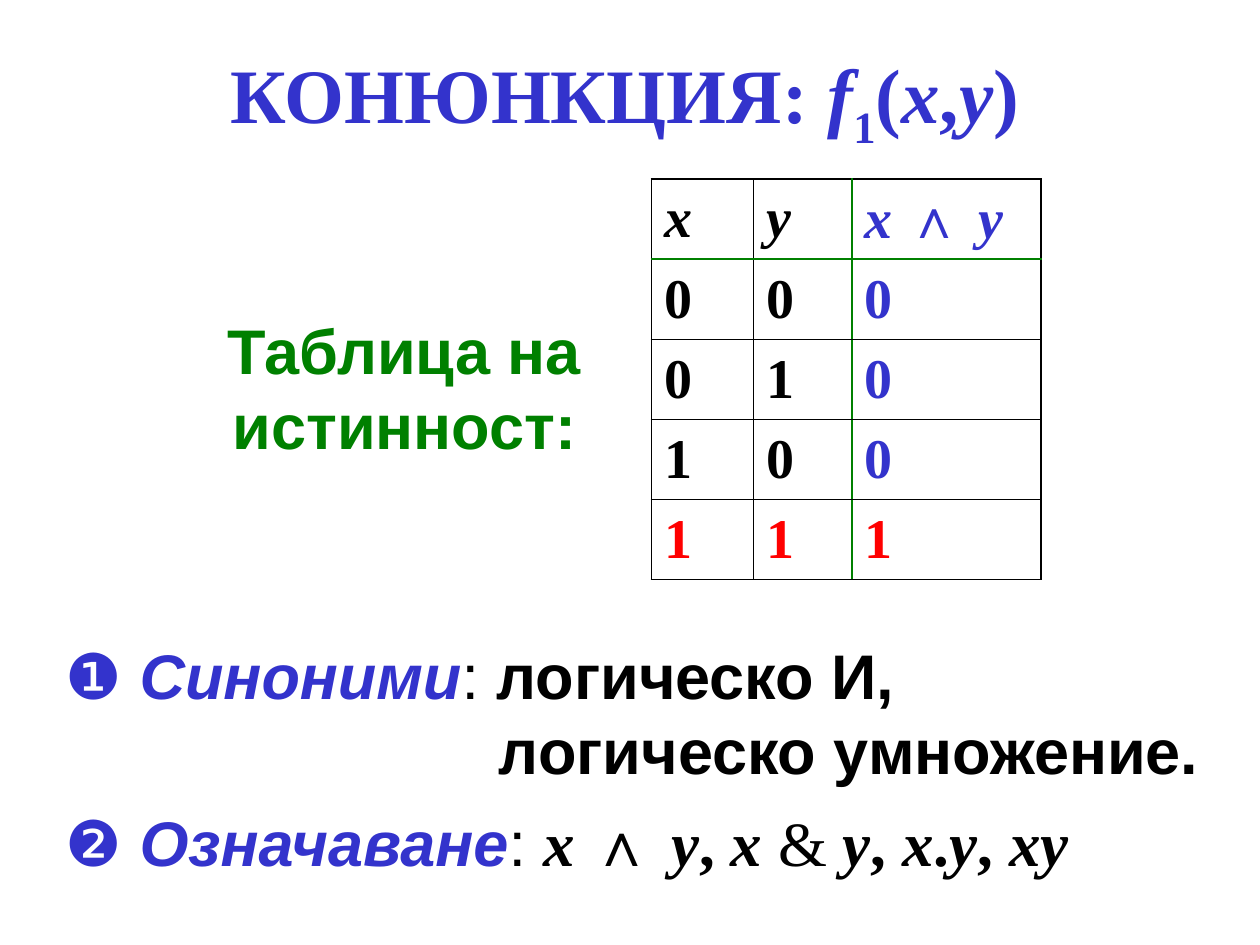
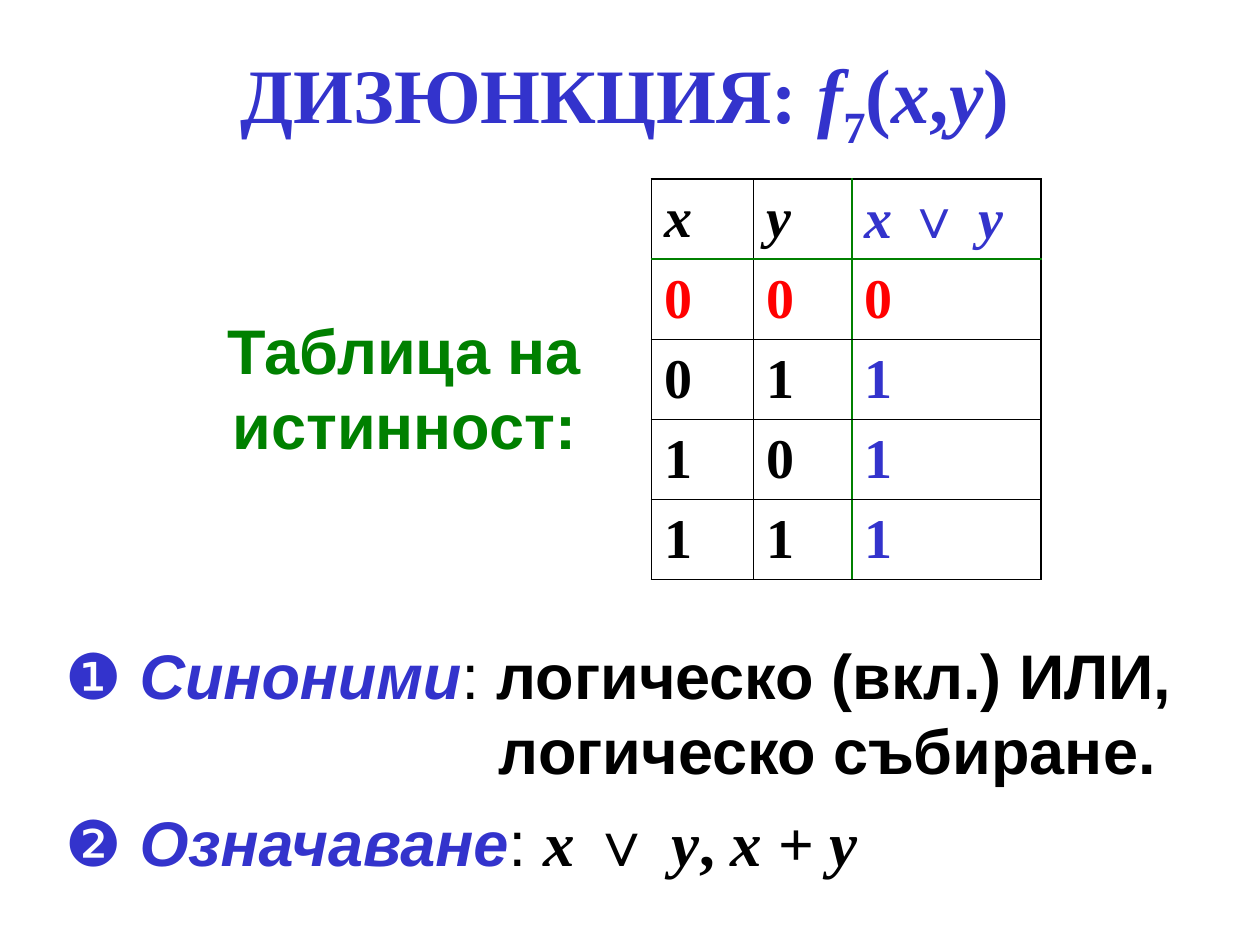
from pptx import Presentation
from pptx.dml.color import RGBColor
from pptx.enum.text import MSO_ANCHOR, MSO_AUTO_SIZE, PP_ALIGN
from pptx.oxml.ns import qn
from pptx.util import Inches, Pt
from lxml.etree import SubElement

BLUE, GREEN, RED, BLACK = "3333CC", "008000", "FF0000", "000000"
SANS, SERIF = "Arial", "Times New Roman"

LABEL = "Таблица на истинност:"
INPUTS = [(0, 0), (0, 1), (1, 0), (1, 1)]
FUNCTIONS = [
    dict(name="КОНЮНКЦИЯ: ", index="1", formula="x ∧ y", values=[0, 0, 0, 1], red_row=4,
         synonyms=["логическо И,", "логическо умножение."],
         notation="x ∧ y, x & y, x.y, xy"),
    dict(name="ДИЗЮНКЦИЯ: ", index="7", formula="x ∨ y", values=[0, 1, 1, 1], red_row=1,
         synonyms=["логическо (вкл.) ИЛИ,", "логическо събиране."],
         notation="x ∨ y, x + y"),
]

COL_WIDTHS = [0.81, 0.78, 1.5]
TABLE_HEIGHT = 3.18
THICK, THIN, DIVIDER = (BLACK, 1.08), (BLACK, 0.45), (GREEN, 1.08)
VERTICAL_RULES = [THICK, THIN, DIVIDER, THICK]
HORIZONTAL_RULES = [THICK, DIVIDER, THIN, THIN, THIN, THICK]


def rgb(color):
    return RGBColor.from_string(color)


def box(left, top, width, height):
    return [Inches(v) for v in (left, top, width, height)]


def place(s, *area):
    s.left, s.top, s.width, s.height = box(*area)


def style(font, size, name, color, bold=None):
    font.size, font.name, font.bold = Pt(size), name, bold
    font.color.rgb = rgb(color)


def add_run(p, text, **props):
    r = p.add_run()
    r.text = text
    for key, value in props.items():
        setattr(r.font, key, value)
    return r


def char_style(char):
    return dict(name=SANS if char in "∧∨" else SERIF, bold=char != "&", italic=char.isalpha())


def add_formula(p, formula):
    tokens = []
    for char in formula:
        if tokens and (char == " " or char_style(char) == char_style(tokens[-1][0])):
            tokens[-1] += char
        else:
            tokens.append(char)
    for token in tokens:
        add_run(p, token, **char_style(token[0]))


def add_title(slide, function):
    s = slide.shapes.title
    place(s, 0.71, 0.33, 8.5, 0.92)
    tf = s.text_frame
    tf.vertical_anchor = MSO_ANCHOR.MIDDLE
    p = tf.paragraphs[0]
    p.alignment = PP_ALIGN.CENTER
    style(p.font, 44, SERIF, BLUE, True)
    add_run(p, function["name"])
    add_run(p, "f", italic=True)
    add_run(p, function["index"]).font._element.set("baseline", "-25000")
    add_formula(p, "(x,y)")


def add_notes_item(p, marker, term):
    p.alignment = PP_ALIGN.LEFT
    pPr = p._p.get_or_add_pPr()
    pPr.set("marL", str(Inches(3.44)))
    pPr.set("indent", str(-Inches(3.44)))
    style(p.font, 36, SANS, BLACK)
    add_run(p, marker + " ").font.color.rgb = rgb(BLUE)
    add_run(p, term, bold=True, italic=True).font.color.rgb = rgb(BLUE)
    add_run(p, ": ")


def add_body(slide, function):
    s = slide.placeholders[1]
    place(s, 0.42, 5, 9.33, 2)
    tf = s.text_frame
    tf.vertical_anchor = MSO_ANCHOR.TOP
    p = tf.paragraphs[0]
    p.space_before = Pt(0)
    add_notes_item(p, "❶", "Синоними")
    for i, synonym in enumerate(function["synonyms"]):
        if i:
            p.add_line_break()
        add_run(p, synonym, bold=True)
    p = tf.add_paragraph()
    p.space_before = Pt(9)
    add_notes_item(p, "❷", "Означаване")
    add_formula(p, function["notation"])


def add_label(slide):
    tf = slide.shapes.add_textbox(*box(1.67, 2.42, 3.08, 1.3)).text_frame
    tf.word_wrap = True
    tf.auto_size = MSO_AUTO_SIZE.SHAPE_TO_FIT_TEXT
    p = tf.paragraphs[0]
    p.text = LABEL
    p.alignment = PP_ALIGN.CENTER
    style(p.font, 36, SANS, GREEN, True)


def set_borders(cell, row, col):
    tcPr = cell._tc.get_or_add_tcPr()
    rules = dict(lnL=VERTICAL_RULES[col], lnR=VERTICAL_RULES[col + 1],
                 lnT=HORIZONTAL_RULES[row], lnB=HORIZONTAL_RULES[row + 1])
    for tag, (color, width) in rules.items():
        ln = SubElement(tcPr, qn("a:" + tag), w=str(Pt(width)))
        fill = SubElement(ln, qn("a:solidFill"))
        SubElement(fill, qn("a:srgbClr"), val=color)


def add_truth_table(slide, function):
    rows = [("x", "y", function["formula"])]
    rows += [(*pair, value) for pair, value in zip(INPUTS, function["values"])]
    area = box(5.17, 1.42, sum(COL_WIDTHS), TABLE_HEIGHT)
    table = slide.shapes.add_table(len(rows), len(COL_WIDTHS), *area).table
    table.first_row = table.horz_banding = False
    for column, width in zip(table.columns, COL_WIDTHS):
        column.width = Inches(width)
    for i, row in enumerate(rows):
        for j, value in enumerate(row):
            cell = table.cell(i, j)
            cell.vertical_anchor = MSO_ANCHOR.MIDDLE
            set_borders(cell, i, j)
            cell.fill.background()
            p = cell.text_frame.paragraphs[0]
            color = RED if i == function["red_row"] else BLUE if j == 2 else BLACK
            style(p.font, 32, SERIF, color, True)
            add_formula(p, str(value))


def main():
    prs = Presentation()
    prs.slide_width, prs.slide_height = Inches(10), Inches(7.5)
    for function in FUNCTIONS:
        slide = prs.slides.add_slide(prs.slide_layouts[0])
        add_title(slide, function)
        add_body(slide, function)
        add_label(slide)
        add_truth_table(slide, function)
    prs.save("out.pptx")


if __name__ == "__main__":
    main()
